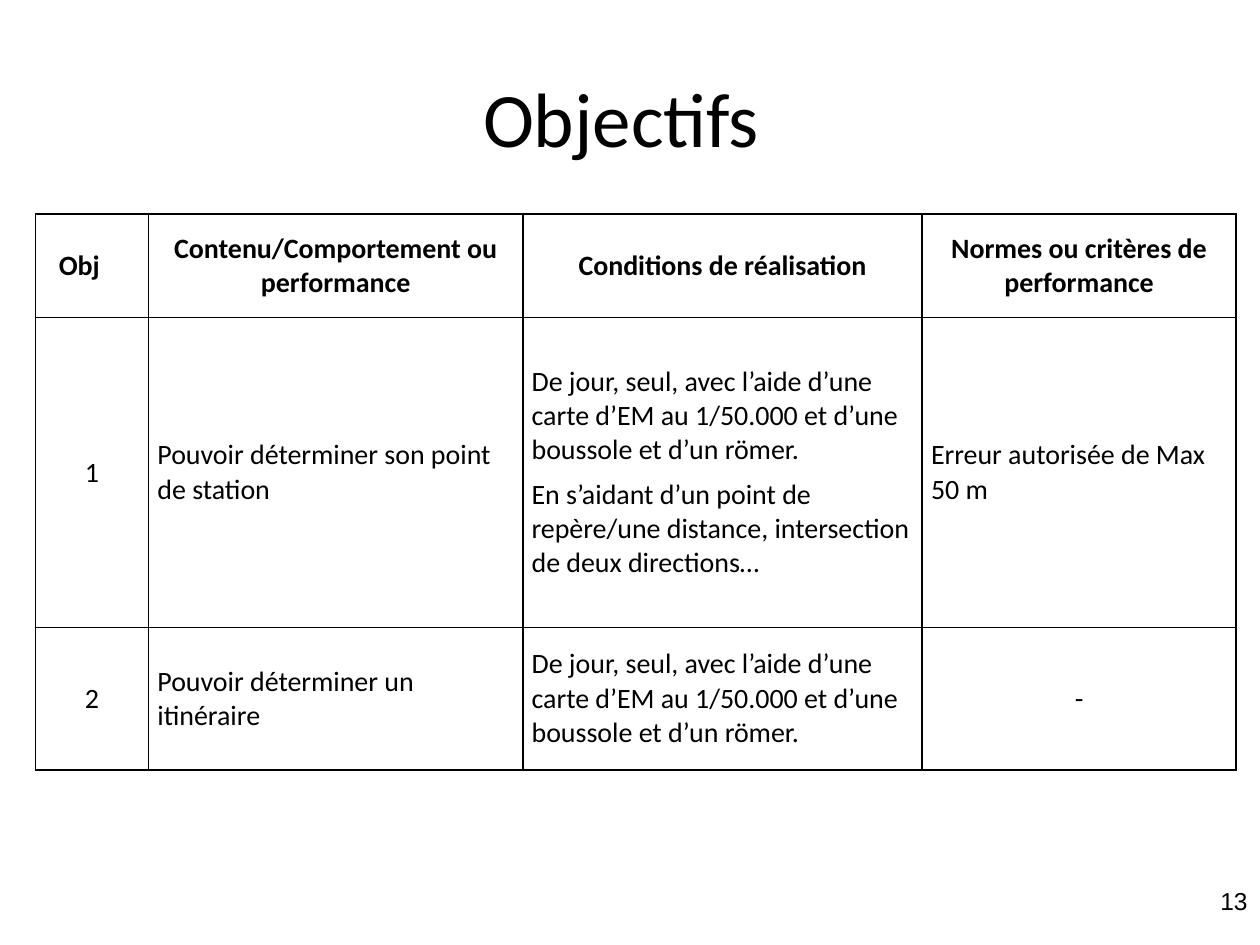
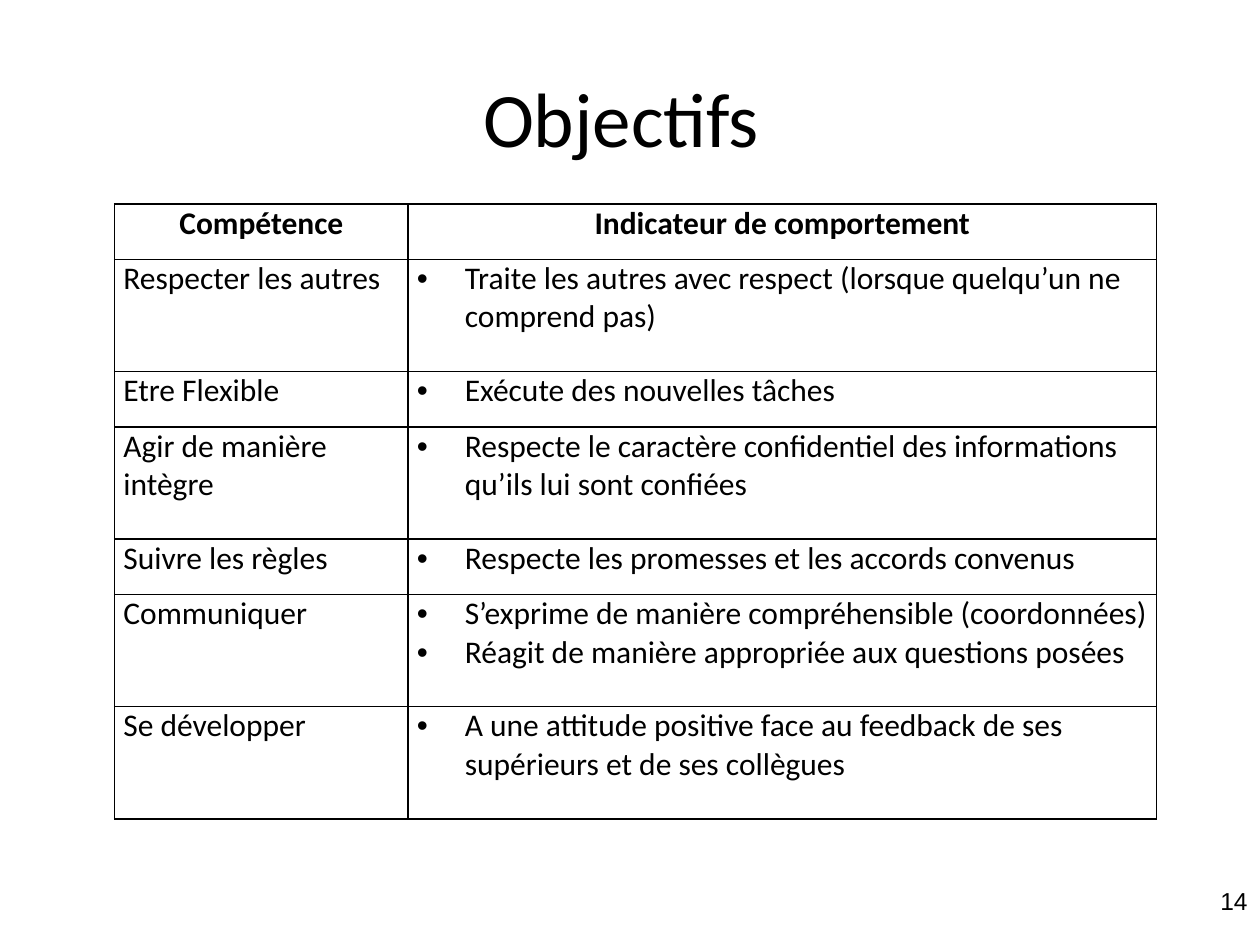
import pptx
import pptx.util
import pptx.dml.color
import pptx.enum.text
import pptx.oxml
import pptx.oxml.ns

Inches = pptx.util.Inches
Pt = pptx.util.Pt
ALIGN = pptx.enum.text.PP_ALIGN
ANCHOR = pptx.enum.text.MSO_ANCHOR

COLORS = {"ink": "000000", "paper": "FFFFFF"}
FONT = "Calibri"
PAD = 0.07
INDENT = 0.38

GOALS = [
    ["Obj", "Contenu/Comportement ou performance",
     "Conditions de réalisation", "Normes ou critères de performance"],
    ["1", "Pouvoir déterminer son point de station",
     "De jour, seul, avec l’aide d’une carte d’EM au 1/50.000 et d’une "
     "boussole et d’un römer.\n"
     "En s’aidant d’un point de repère/une distance, intersection de deux "
     "directions…",
     "Erreur autorisée de Max 50 m"],
    ["2", "Pouvoir déterminer un itinéraire",
     "De jour, seul, avec l’aide d’une carte d’EM au 1/50.000 et d’une "
     "boussole et d’un römer.",
     "-"],
]

SKILLS = [
    ["Compétence", "Indicateur de comportement"],
    ["Respecter les autres",
     "Traite les autres avec respect (lorsque quelqu’un ne comprend pas)"],
    ["Etre Flexible", "Exécute des nouvelles tâches"],
    ["Agir de manière intègre",
     "Respecte le caractère confidentiel des informations qu’ils lui sont "
     "confiées"],
    ["Suivre les règles", "Respecte les promesses et les accords convenus"],
    ["Communiquer",
     "S’exprime de manière compréhensible (coordonnées)\n"
     "Réagit de manière appropriée aux questions posées"],
    ["Se développer",
     "A une attitude positive face au feedback de ses supérieurs et de ses "
     "collègues"],
]


def color(name):
    return pptx.dml.color.RGBColor.from_string(COLORS[name])


def write(frame, text, size, font=FONT, bold=False, align=ALIGN.LEFT,
          before=0, bullet=False):
    """Fill a text frame, one paragraph for each line of text."""
    frame.word_wrap = True
    for i, line in enumerate(text.split("\n")):
        para = frame.paragraphs[0] if i == 0 else frame.add_paragraph()
        para.alignment = align
        para.space_before = Pt(before)
        run = para.add_run()
        run.text = line
        run.font.name = font
        run.font.size = Pt(size)
        run.font.bold = bold
        run.font.color.rgb = color("ink")
        if bullet:
            add_bullet(para)


def add_bullet(para):
    props = para._p.get_or_add_pPr()
    props.set("marL", str(Inches(INDENT)))
    props.set("indent", str(-Inches(INDENT)))
    for tag, key, value in (("buFont", "typeface", "Arial"),
                            ("buChar", "char", "•")):
        item = pptx.oxml.ns.qn("a:" + tag)
        props.append(props.makeelement(item, {key: value}))


def add_box(slide, place, text, size, anchor=ANCHOR.TOP, **style):
    box = slide.shapes.add_textbox(*[Inches(n) for n in place])
    box.text_frame.vertical_anchor = anchor
    write(box.text_frame, text, size, **style)


def add_border(cell):
    props = cell._tc.get_or_add_tcPr()
    for side in ("lnL", "lnR", "lnT", "lnB"):
        props.append(pptx.oxml.parse_xml(
            f'<a:{side} {pptx.oxml.ns.nsdecls("a")} w="{Pt(1)}"><a:solidFill>'
            f'<a:srgbClr val="{COLORS["ink"]}"/></a:solidFill></a:{side}>'))


def add_grid(slide, left, top, widths, heights, rows, size,
             anchor=ANCHOR.TOP, before=0, dots=()):
    """Draw a ruled table; body cells of the columns in dots get bullets."""
    frame = slide.shapes.add_table(
        len(rows), len(widths), Inches(left), Inches(top),
        Inches(sum(widths)), Inches(sum(heights)))
    grid = frame.table
    grid.first_row = grid.horz_banding = False
    for col, width in zip(grid.columns, widths):
        col.width = Inches(width)
    for row, height in zip(grid.rows, heights):
        row.height = Inches(height)
    for r, texts in enumerate(rows):
        for c, text in enumerate(texts):
            cell = grid.cell(r, c)
            add_border(cell)
            cell.fill.solid()
            cell.fill.fore_color.rgb = color("paper")
            cell.margin_left = cell.margin_right = Inches(PAD)
            cell.margin_top = cell.margin_bottom = 0
            cell.vertical_anchor = anchor
            head = r == 0
            centred = head or len(text) == 1
            write(cell.text_frame, text, size, bold=head, before=before,
                  align=ALIGN.CENTER if centred else ALIGN.LEFT,
                  bullet=c in dots and not head)
    return grid


def add_page(deck, number):
    """Add a slide with the shared title and its page number."""
    slide = deck.slides.add_slide(deck.slide_layouts[6])
    slide.background.fill.solid()
    slide.background.fill.fore_color.rgb = color("paper")
    add_box(slide, (7.67, 6.98, 2.33, 0.52), str(number), 14,
            font="Arial", align=ALIGN.RIGHT)
    add_box(slide, (0.5, 0.3, 9, 1.25), "Objectifs ", 44,
            anchor=ANCHOR.MIDDLE, align=ALIGN.CENTER)
    return slide


def main():
    deck = pptx.Presentation()
    deck.slide_width = Inches(10)
    deck.slide_height = Inches(7.5)

    goals = add_grid(add_page(deck, 13), 0.28, 1.7, [0.9, 2.97, 3.17, 2.49],
                     [0.82, 2.46, 1.13], GOALS, 16,
                     anchor=ANCHOR.MIDDLE, before=6)
    # The first heading sits a little left of its column's centre.
    goals.cell(0, 0).margin_right = Inches(PAD + 0.2)

    low, high = 0.44, 0.89
    add_grid(add_page(deck, 14), 0.91, 1.62, [2.33, 5.94],
             [low, high, low, high, low, high, high], SKILLS, 18, dots=(1,))

    deck.save("out.pptx")


if __name__ == "__main__":
    main()
